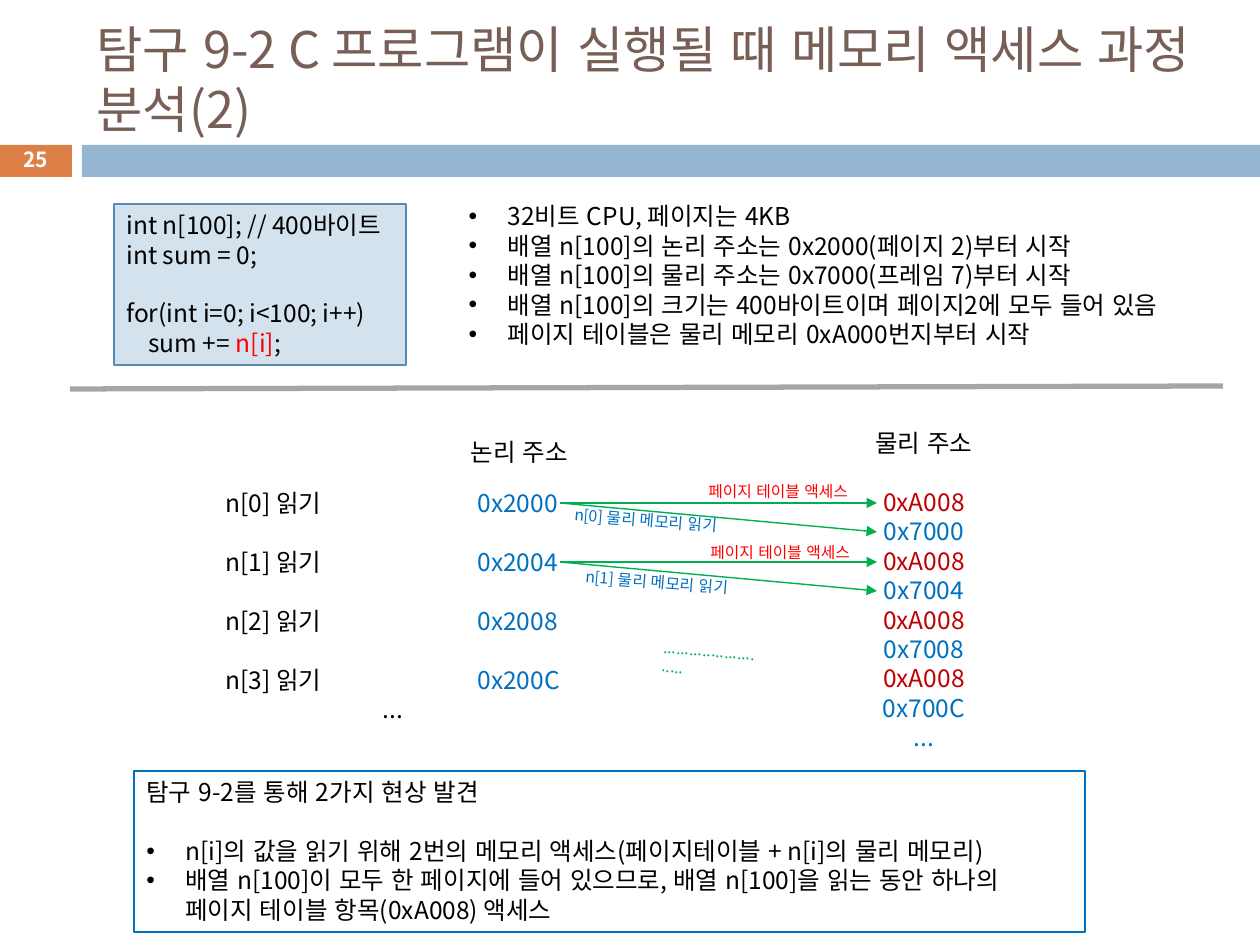
from lxml.etree import SubElement
from pptx import Presentation
from pptx.dml.color import RGBColor
from pptx.enum.lang import MSO_LANGUAGE_ID
from pptx.enum.shapes import MSO_CONNECTOR, MSO_SHAPE
from pptx.enum.text import MSO_ANCHOR, MSO_AUTO_SIZE, PP_ALIGN
from pptx.oxml.ns import qn
from pptx.util import Inches, Pt

# Content: a line is a list of (text, colour) runs
TITLE = "탐구 9-2 C 프로그램이 실행될 때 메모리 액세스 과정 분석(2)"
PAGE = "25"
CODE = [
    [("int n[100]; // 400바이트", "text")],
    [("int sum = 0;", "text")],
    [("for(int i=0; i<100; i++)", "text")],
    [("    sum += ", "text"), ("n[i]", "red"), (";", "text")],
]
FACTS = [
    "32비트 CPU, 페이지는 4KB",
    "배열 n[100]의 논리 주소는 0x2000(페이지 2)부터 시작",
    "배열 n[100]의 물리 주소는 0x7000(프레임 7)부터 시작",
    "배열 n[100]의 크기는 400바이트이며 페이지2에 모두 들어 있음",
    "페이지 테이블은 물리 메모리 0xA000번지부터 시작",
]
LOGICAL_HEAD, PHYSICAL_HEAD = "논리 주소", "물리 주소"
TABLE_ENTRY = "0xA008"
READS = [  # label, logical address, physical address
    ("n[0] 읽기", "0x2000", "0x7000"),
    ("n[1] 읽기", "0x2004", "0x7004"),
    ("n[2] 읽기", "0x2008", "0x7008"),
    ("n[3] 읽기", "0x200C", "0x700C"),
]
TABLE_ACCESS = "페이지 테이블 액세스"
ARROW_LABELS = [  # text, table label position, read label position
    ("n[0] 물리 메모리 읽기", (696, 476), (562, 505)),
    ("n[1] 물리 메모리 읽기", (698, 537), (573, 567)),
]
DOTS = ".........................."
FINDING_HEAD = "탐구 9-2를 통해 2가지 현상 발견"
FINDINGS = [
    "n[i]의 값을 읽기 위해 2번의 메모리 액세스(페이지테이블 + n[i]의 물리 메모리)",
    "배열 n[100]이 모두 한 페이지에 들어 있으므로, 배열 n[100]을 읽는 동안 "
    "하나의 페이지 테이블 항목(0xA008) 액세스",
]

THEME = {
    "font": "Noto Sans CJK KR",
    "size": {"title": 28.8, "page": 11.9, "body": 14, "label": 9},
    "color": {
        "title": "775F55", "text": "000000", "white": "FFFFFF", "red": "FF0000",
        "table": "C00000", "blue": "0070C0", "green": "00B050", "orange": "DD8047",
        "band": "94B6D2", "code": "D4E2ED", "code_line": "558BB8", "rule": "A6A6A6",
    },
}
PX = Inches(1) / 126
LEADING = 1.2
LINE = THEME["size"]["body"] * LEADING
TILT = 4.7
INDENT = 39


def px(n):
    return round(n * PX)


def color(name):
    return RGBColor.from_string(THEME["color"][name])


def add_line(tf, runs, size="body", align=PP_ALIGN.LEFT, before=0, bullet=False,
             tab=None, bold=False):
    """Write one paragraph, using the empty first one when there is one."""
    p = tf.paragraphs[0]
    if p.runs:
        p = tf.add_paragraph()
    pPr = p._p.get_or_add_pPr()
    if bullet:
        pPr.set("marL", str(px(INDENT)))
        pPr.set("indent", str(-px(INDENT)))
        SubElement(pPr, qn("a:buFont"), typeface="Arial")
        SubElement(pPr, qn("a:buChar"), char="•")
    if tab:
        tabs = SubElement(pPr, qn("a:tabLst"))
        SubElement(tabs, qn("a:tab"), pos=str(px(tab)), algn="l")
    points = THEME["size"][size]
    formats = {"alignment": align, "space_before": Pt(before), "space_after": Pt(0),
               "line_spacing": Pt(round(points * LEADING, 1))}
    for name, value in formats.items():
        setattr(p, name, value)
    for text, tint in runs:
        r = p.add_run()
        r.text = text
        fonts = {"name": THEME["font"], "size": Pt(points), "bold": bold,
                 "language_id": MSO_LANGUAGE_ID.KOREAN}
        for name, value in fonts.items():
            setattr(r.font, name, value)
        r.font.color.rgb = color(tint)
        SubElement(r._r.get_or_add_rPr(), qn("a:ea"), typeface=THEME["font"])


def prepare(s, box, anchor=MSO_ANCHOR.TOP):
    """Place a shape and return its text frame."""
    s.left, s.top, s.width, s.height = map(px, box)
    tf = s.text_frame
    formats = {"word_wrap": True, "auto_size": MSO_AUTO_SIZE.NONE, "vertical_anchor": anchor,
               "margin_left": Inches(0.1), "margin_right": Inches(0.1),
               "margin_top": Inches(0.05), "margin_bottom": Inches(0.05)}
    for name, value in formats.items():
        setattr(tf, name, value)
    return tf


def add_box(box, fill=None, line=None):
    s = shapes.add_shape(MSO_SHAPE.RECTANGLE, *map(px, box))
    s.shadow.inherit = False
    if fill:
        s.fill.solid()
        s.fill.fore_color.rgb = color(fill)
    else:
        s.fill.background()
    if line:
        s.line.color.rgb = color(line)
        s.line.width = Pt(0.75)
    else:
        s.line.fill.background()
    return prepare(s, box)


def add_text(box, anchor=MSO_ANCHOR.TOP, rotation=0):
    s = shapes.add_textbox(*map(px, box))
    s.rotation = rotation
    return prepare(s, box, anchor)


def add_connector(start, end, tint, width, arrow=False):
    s = shapes.add_connector(MSO_CONNECTOR.STRAIGHT, *map(px, start + end))
    s.line.color.rgb = color(tint)
    s.line.width = Pt(width)
    if arrow:
        SubElement(s.line._get_or_add_ln(), qn("a:tailEnd"), type="triangle")
    SubElement(s._element.spPr, qn("a:effectLst"))


prs = Presentation()
prs.slide_width, prs.slide_height = px(1260), px(945)
slide = prs.slides.add_slide(prs.slide_layouts[1])
shapes = slide.shapes

# Title, page number and bands
add_box((-1, 145, 73, 32), fill="orange")
add_box((82, 145, 1178, 32), fill="band")
tf = prepare(shapes.title, (84, 32, 1124, 93), MSO_ANCHOR.MIDDLE)
add_line(tf, [(TITLE, "title")], "title")
tf = add_text((-1, 142, 73, 34), MSO_ANCHOR.MIDDLE)
add_line(tf, [(PAGE, "white")], "page", PP_ALIGN.CENTER, bold=True)

# Code and facts
tf = add_box((114, 204, 292, 161), fill="code", line="code_line")
for i, runs in enumerate(CODE):
    add_line(tf, runs, before=LINE if i == 2 else 0)
tf = prepare(slide.placeholders[1], (456, 195, 770, 161))
for fact in FACTS:
    add_line(tf, [(fact, "text")], bullet=True)
add_connector((70, 389), (1223, 386), "rule", 3)

# Logical addresses
tf = add_text((440, 431, 159, 43))
add_line(tf, [(LOGICAL_HEAD, "text")], align=PP_ALIGN.CENTER)
tf = add_text((213, 482, 360, 250))
for i, (label, logical, _) in enumerate(READS):
    add_line(tf, [(label + "\t", "text"), (logical, "blue")],
             before=LINE if i else 0, tab=252)
add_line(tf, [("...", "text")], align=PP_ALIGN.CENTER)

# Physical addresses
tf = add_text((857, 422, 134, 340))
add_line(tf, [(PHYSICAL_HEAD, "text")], align=PP_ALIGN.CENTER)
for i, (_, _, physical) in enumerate(READS):
    add_line(tf, [(TABLE_ENTRY, "table")], align=PP_ALIGN.CENTER, before=0 if i else LINE)
    add_line(tf, [(physical, "blue")], align=PP_ALIGN.CENTER)
add_line(tf, [("...", "blue")], align=PP_ALIGN.CENTER)

# Accesses made by each read
for i, (read, table_at, read_at) in enumerate(ARROW_LABELS):
    y = 503 + 59 * i
    for drop in (0, 29):
        add_connector((560, y), (877, y + drop), "green", 0.79, arrow=True)
    add_line(add_text(table_at + (180, 32)), [(TABLE_ACCESS, "red")], "label")
    add_line(add_text(read_at + (181, 32), rotation=TILT), [(read, "blue")], "label")
add_line(add_text((651, 635, 117, 32), rotation=TILT), [(DOTS, "green")], "label")

# Findings
tf = add_box((134, 771, 951, 161), line="blue")
add_line(tf, [(FINDING_HEAD, "text")])
for i, finding in enumerate(FINDINGS):
    add_line(tf, [(finding, "text")], before=0 if i else LINE, bullet=True)

prs.save("out.pptx")
